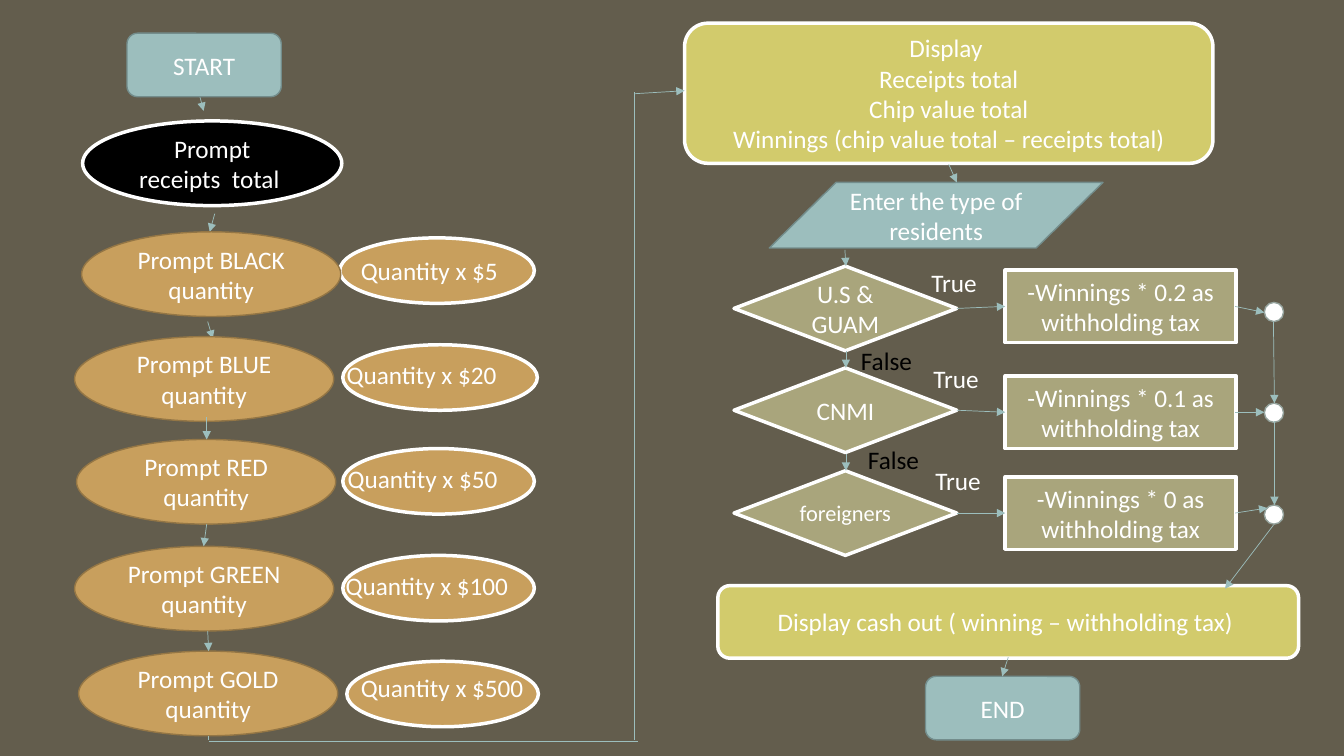
import pptx
import pptx.util
import pptx.dml.color
import pptx.enum.shapes
import pptx.enum.text
import pptx.oxml.ns
from lxml import etree

RGB = pptx.dml.color.RGBColor
KIND = pptx.enum.shapes.MSO_SHAPE
ALIGN = pptx.enum.text.PP_ALIGN
ANCHOR = pptx.enum.text.MSO_ANCHOR

SCALE = 9144  # EMU in one px, 100 px to the inch
FONT = "Calibri"
BACK = RGB(0x63, 0x5D, 0x4D)
WHITE = RGB(0xFF, 0xFF, 0xFF)
BLACK = RGB(0, 0, 0)
TAN = RGB(0xC8, 0x9F, 0x5D)
BROWN = RGB(0x94, 0x76, 0x45)
TEAL = RGB(0x9C, 0xBE, 0xBD)
SLATE = RGB(0x73, 0x8D, 0x8C)
LIME = RGB(0xD2, 0xCB, 0x6C)
OLIVE = RGB(0xA9, 0xA5, 0x7C)
GREY = RGB(0x95, 0xA3, 0x9D)

# Left column: name, prompt left and top, chip value,
# oval left, top and width, label left, top and width
CHIPS = [
    ("BLACK", 81, 230, 5, (337, 236, 193), (348, 248, 178)),
    ("BLUE", 74, 334, 20, (340, 342, 193), (334, 352, 178)),
    ("RED", 76, 436, 50, (340, 445, 190), (335, 455, 178)),
    ("GREEN", 74, 542, 100, (340, 551, 190), (333, 561, 193)),
    ("GOLD", 78, 646, 500, (344, 656, 190), (348, 662, 193)),
]

# Right column: group, text size, diamond top, rate, tax box top,
# "True" left and top, dot top
TESTS = [
    ("U.S & GUAM", 18, 264, "0.2", 268, (914, 260), 300),
    ("CNMI", 18, 365, "0.1", 373, (916, 356), 400),
    ("foreigners", 16, 467, "0", 473, (918, 457), 501),
]

# Arrows that pass behind the boxes
UNDER = [
    (197, 91, 202, 110), (213, 212, 208, 230), (206, 319, 211, 336),
]
ARROWS = [
    (205, 414, 205, 436), (205, 520, 202, 542), (206, 626, 207, 646),
    (629, 93, 679, 90), (941, 163, 949, 181),
    (838, 248, 839, 264), (839, 348, 839, 365), (839, 450, 839, 467),
    (949, 306, 997, 304), (949, 407, 997, 409), (949, 509, 997, 509),
    (1225, 304, 1254, 310), (1225, 409, 1254, 409), (1225, 509, 1257, 504),
    (1263, 319, 1264, 400), (1264, 418, 1264, 501),
    (1263, 521, 1215, 584), (1000, 652, 994, 671),
]
# Plain return line from the last prompt up to the display box
RETURN = [
    (207, 730, 207, 734), (207, 735, 633, 735), (629, 734, 629, 91),
]


def emu(*vals):
    return [pptx.util.Emu(v * SCALE) for v in vals]


def style(item, form):
    for key, val in form.items():
        setattr(item, key, val)


def write(frame, text, color, size, align):
    frame.word_wrap = True
    frame.text = text
    for para in frame.paragraphs:
        para.alignment = align
        style(para.runs[0].font, {"name": FONT, "size": pptx.util.Pt(size)})
        para.runs[0].font.color.rgb = color


def box(slide, kind, at, fill, edge, width, text="", size=18):
    shape = slide.shapes.add_shape(kind, *emu(*at))
    shape.shadow.inherit = False
    shape.fill.solid()
    shape.fill.fore_color.rgb = fill
    shape.line.color.rgb = edge
    shape.line.width = pptx.util.Pt(width)
    if text:
        shape.text_frame.vertical_anchor = ANCHOR.MIDDLE
        write(shape.text_frame, text, WHITE, size, ALIGN.CENTER)


def label(slide, at, text, color=WHITE):
    frame = slide.shapes.add_textbox(*emu(*at)).text_frame
    write(frame, text, color, 18, ALIGN.LEFT)


def link(slide, ends, head=True):
    line = slide.shapes.add_connector(
        pptx.enum.shapes.MSO_CONNECTOR.STRAIGHT, *emu(*ends))
    line.line.color.rgb = TEAL
    line.line.width = pptx.util.Pt(0.5)
    tag = pptx.oxml.ns.qn
    if head:
        etree.SubElement(line.line._get_or_add_ln(), tag("a:tailEnd"),
                         type="triangle")
    etree.SubElement(line._element.spPr, tag("a:effectLst"))


def prompts(slide):
    for chip in CHIPS:
        left, top, width = chip[4]
        box(slide, KIND.OVAL, (left, top, width, 65), TAN, WHITE, 2.5)
    for ends in UNDER:
        link(slide, ends)
    box(slide, KIND.ROUNDED_RECTANGLE, (126, 33, 153, 63), TEAL, SLATE, 1,
        "START")
    box(slide, KIND.OVAL, (82, 120, 257, 84), BLACK, WHITE, 2.5,
        "Prompt receipts  total ")
    for name, left, top, value, oval, (x, y, width) in CHIPS:
        box(slide, KIND.OVAL, (left, top, 257, 84), TAN, BROWN, 1,
            f"Prompt {name} quantity")
        label(slide, (x, y, width, 40), f"Quantity x ${value}")


def results(slide):
    box(slide, KIND.ROUNDED_RECTANGLE, (679, 23, 524, 139), LIME, WHITE, 2.5,
        "Display \nReceipts total\nChip value total\n"
        "Winnings (chip value total – receipts total)")
    box(slide, KIND.FLOWCHART_DATA, (763, 181, 331, 65), TEAL, SLATE, 1,
        "Enter the type of residents")
    for group, size, top, rate, tax, (x, y), dot in TESTS:
        box(slide, KIND.FLOWCHART_DECISION, (728, top, 221, 84), OLIVE,
            WHITE, 2.5, group, size)
        box(slide, KIND.RECTANGLE, (997, tax, 229, 72), OLIVE, WHITE, 2.5,
            f"-Winnings * {rate} as withholding tax")
        label(slide, (x, y, 84, 40), "True")
        box(slide, KIND.FLOWCHART_CONNECTOR, (1254, dot, 19, 19), WHITE,
            GREY, 1)
    for x, y in ((844, 338), (851, 436)):
        label(slide, (x, y, 84, 40), "False", BLACK)
    box(slide, KIND.ROUNDED_RECTANGLE, (712, 581, 576, 72), LIME, WHITE, 2.5,
        "Display cash out ( winning – withholding tax) ")
    box(slide, KIND.ROUNDED_RECTANGLE, (918, 671, 153, 63), TEAL, SLATE, 1,
        "END")


def main():
    deck = pptx.Presentation()
    wide, high = emu(1333, 750)
    style(deck, {"slide_width": wide, "slide_height": high})
    slide = deck.slides.add_slide(deck.slide_layouts[6])
    slide.background.fill.solid()
    slide.background.fill.fore_color.rgb = BACK

    # Boxes and labels
    prompts(slide)
    results(slide)

    # Flow lines
    for ends in ARROWS:
        link(slide, ends)
    for ends in RETURN:
        link(slide, ends, head=False)

    deck.save("out.pptx")


if __name__ == "__main__":
    main()
